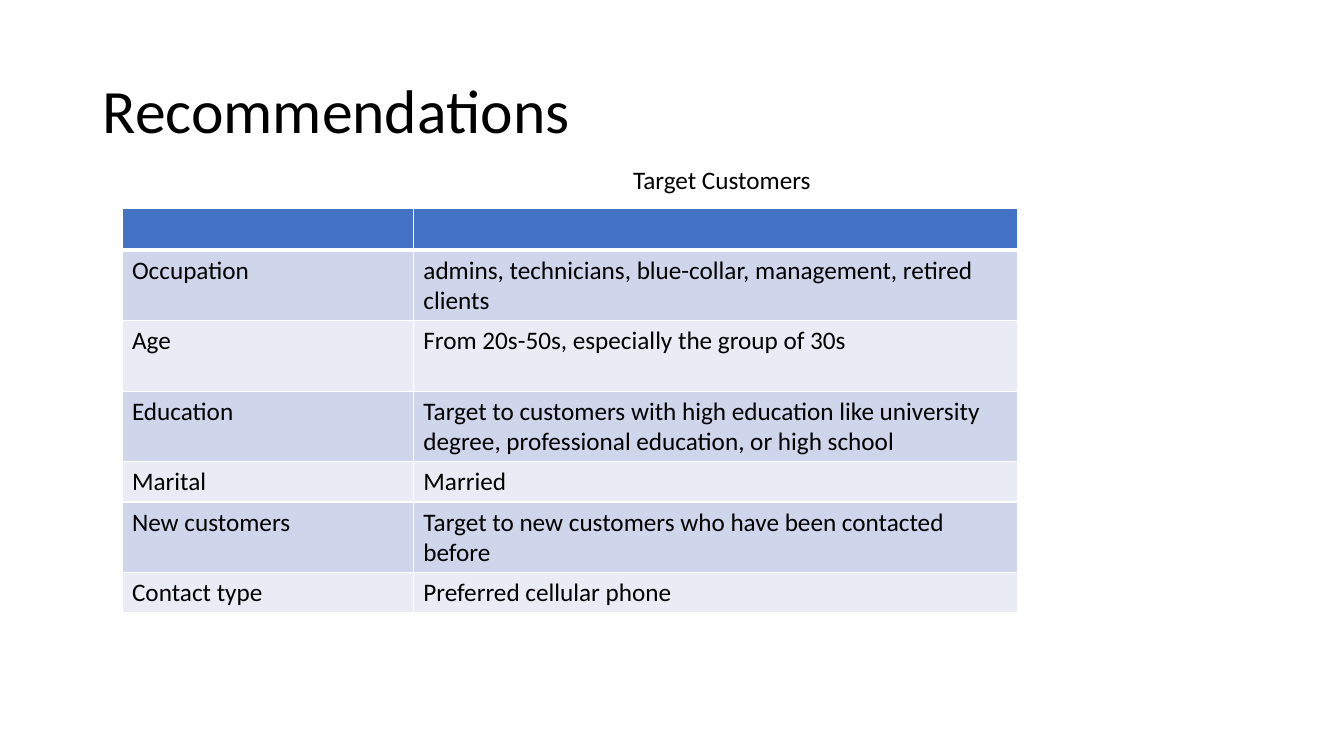
"""Build the Recommendations slide with its table of target customers."""
from lxml.etree import fromstring
from pptx import Presentation
from pptx.dml.color import RGBColor
from pptx.enum.text import MSO_ANCHOR, MSO_AUTO_SIZE
from pptx.util import Pt

PX = 9144
THEME = {
    "font": "Calibri",
    "title": 44,
    "body": 18,
    "text": "000000",
    "header": "4472C4",
    "bands": ["CFD5EA", "E9EBF5"],
    "border": "FFFFFF",
}
NAMESPACE = "http://schemas.openxmlformats.org/drawingml/2006/main"


def write(paragraph, text, size):
    """Add one run of themed text to a paragraph."""
    run = paragraph.add_run()
    run.text = text
    run.font.color.rgb = RGBColor.from_string(THEME["text"])
    for name, value in {"name": THEME["font"], "size": Pt(size)}.items():
        setattr(run.font, name, value)


def draw_borders(cell, widths):
    """Give each side of a cell a solid line of its width in points."""
    properties = cell._tc.get_or_add_tcPr()
    for position, (side, width) in enumerate(widths.items()):
        line = fromstring(
            f'<a:ln{side} xmlns:a="{NAMESPACE}" w="{Pt(width)}">'
            f'<a:solidFill><a:srgbClr val="{THEME["border"]}"/></a:solidFill>'
            f'</a:ln{side}>'
        )
        properties.insert(position, line)


presentation = Presentation()
presentation.slide_width = 1333 * PX
presentation.slide_height = 750 * PX
slide = presentation.slides.add_slide(presentation.slide_layouts[6])

headings = [
    ("Recommendations", (92, 40, 1150, 145), THEME["title"],
     {"word_wrap": True, "vertical_anchor": MSO_ANCHOR.MIDDLE}, 0.9),
    ("Target Customers", (618, 158, 198, 40), THEME["body"],
     {"word_wrap": False, "auto_size": MSO_AUTO_SIZE.SHAPE_TO_FIT_TEXT}, 1.0),
]
for text, box, size, frame_format, spacing in headings:
    shape = slide.shapes.add_textbox(*(length * PX for length in box))
    for name, value in frame_format.items():
        setattr(shape.text_frame, name, value)
    paragraph = shape.text_frame.paragraphs[0]
    paragraph.line_spacing = spacing
    write(paragraph, text, size)

rows = [
    (41, "", ""),
    (70, "Occupation", "admins, technicians, blue-collar, management, retired clients"),
    (70, "Age", "From 20s-50s, especially the group of 30s"),
    (70, "Education", "Target to customers with high education like university degree, "
                      "professional education, or high school"),
    (40, "Marital", "Married"),
    (70, "New customers", "Target to new customers who have been contacted before"),
    (40, "Contact type", "Preferred cellular phone"),
]
column_widths = [289, 599]
table_height = sum(row[0] for row in rows)
table = slide.shapes.add_table(
    len(rows), len(column_widths), 121 * PX, 207 * PX,
    sum(column_widths) * PX, table_height * PX,
).table
for column, width in zip(table.columns, column_widths):
    column.width = width * PX

for row_index, (height, *texts) in enumerate(rows):
    table.rows[row_index].height = height * PX
    color = THEME["bands"][(row_index - 1) % 2] if row_index else THEME["header"]
    widths = {"L": 1, "R": 1, "T": 3 if row_index == 1 else 1, "B": 1 if row_index else 3}
    for column_index, text in enumerate(texts):
        cell = table.cell(row_index, column_index)
        cell.fill.solid()
        cell.fill.fore_color.rgb = RGBColor.from_string(color)
        draw_borders(cell, widths)
        if text:
            write(cell.text_frame.paragraphs[0], text, THEME["body"])

presentation.save("out.pptx")
